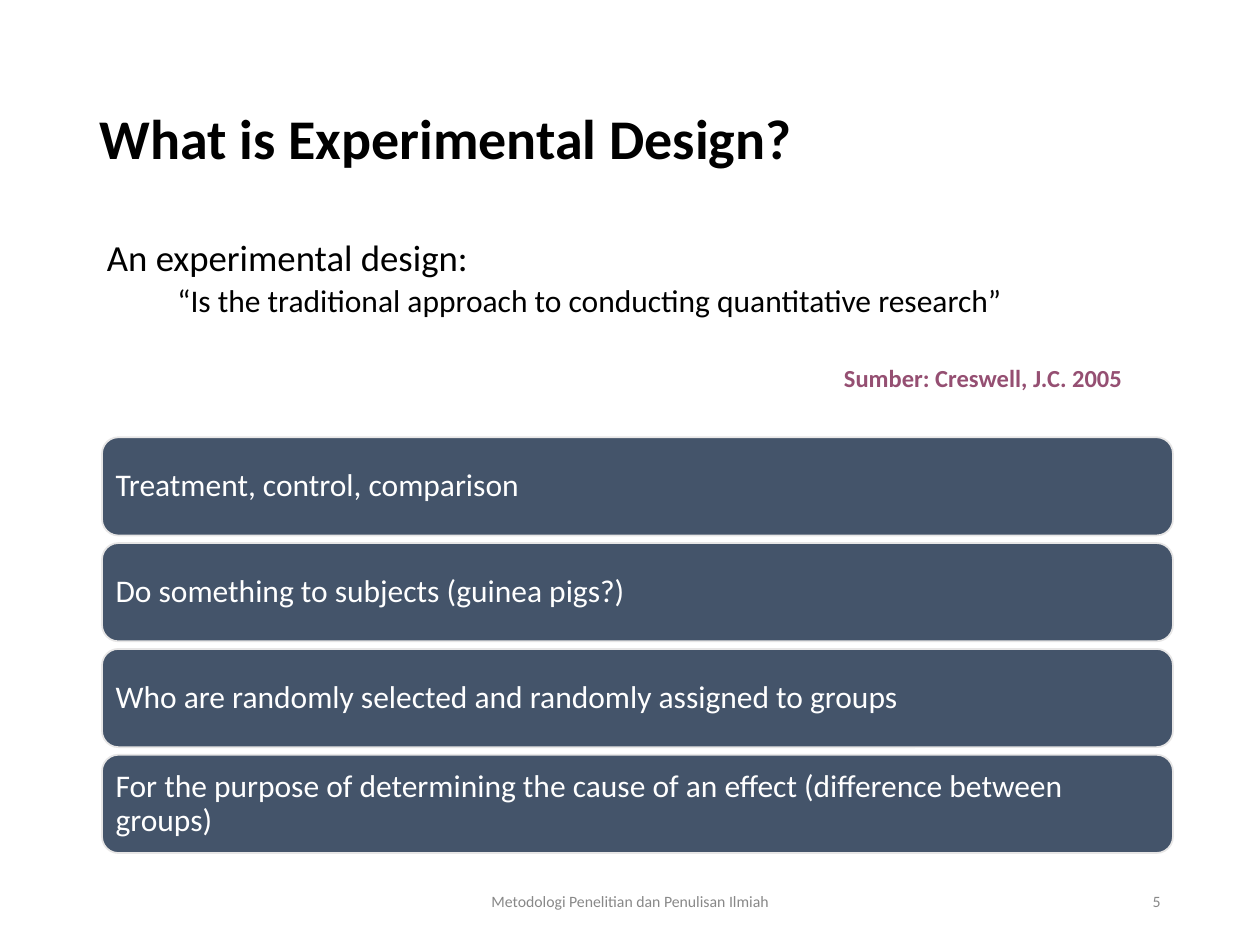
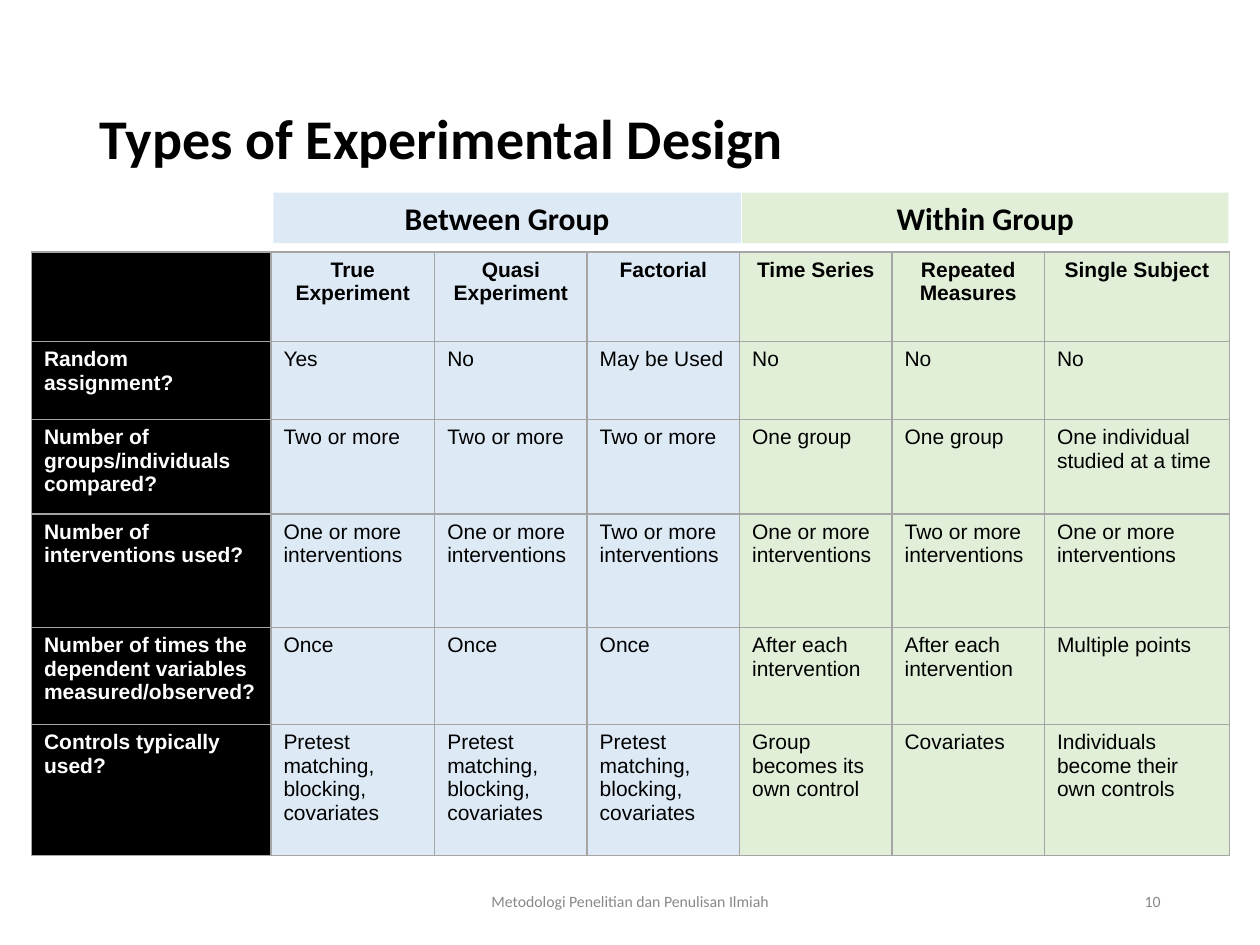
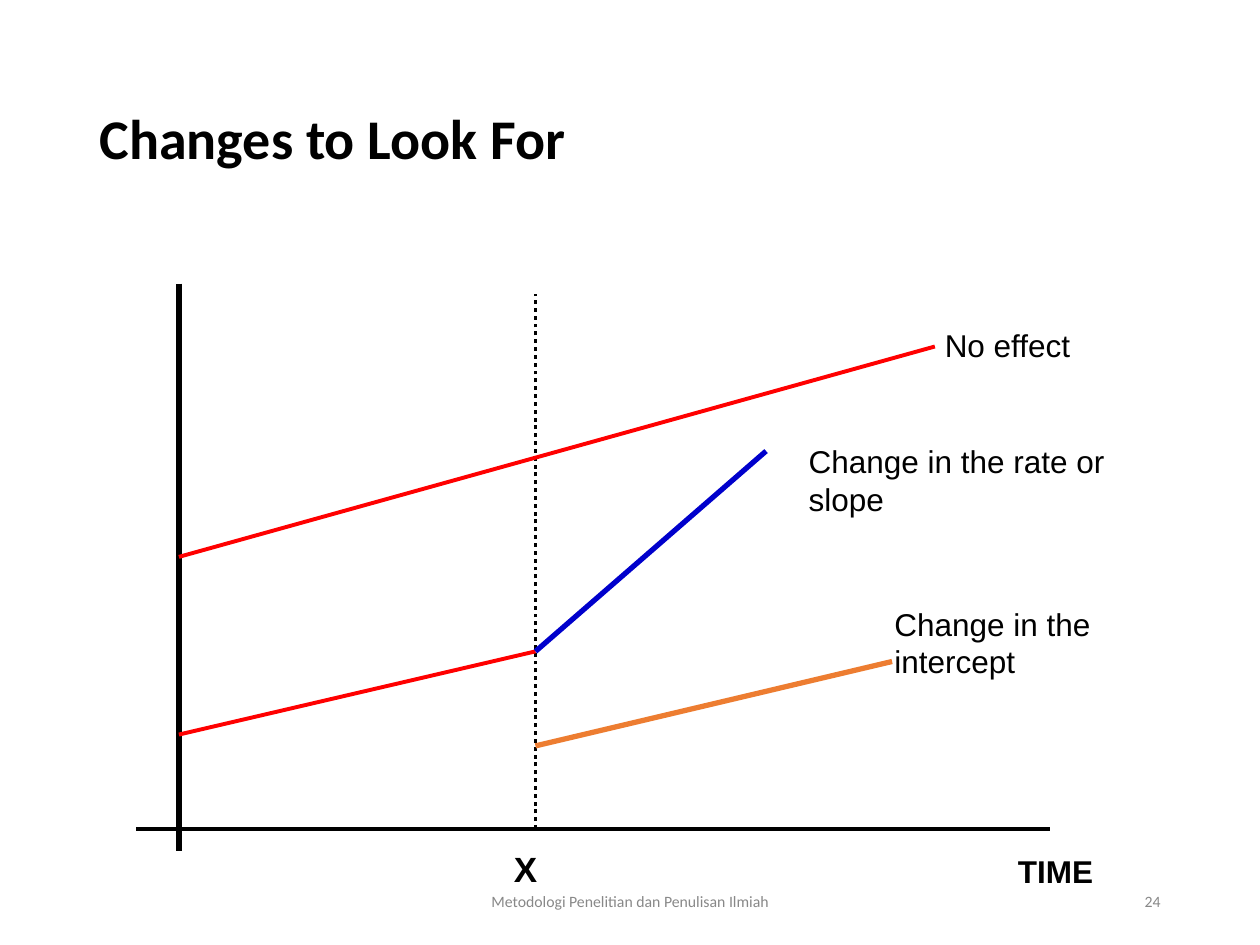
from lxml.etree import SubElement
from pptx import Presentation
from pptx.dml.color import RGBColor
from pptx.enum.dml import MSO_LINE
from pptx.enum.shapes import MSO_CONNECTOR, MSO_SHAPE
from pptx.enum.text import MSO_ANCHOR, PP_ALIGN
from pptx.oxml.ns import qn
from pptx.util import Inches, Pt

COLORS = {
    "black": "000000", "white": "FFFFFF", "grey": "888888", "plum": "954F72",
    "slate": "44546A", "pale": "E7E6E6", "border": "A5A5A5",
    "between": "DDEAF6", "within": "E1EFD8",
    "red": "FF0000", "blue": "0000CC", "orange": "ED7D31",
}
FOOTER = "Metodologi Penelitian dan Penulisan Ilmiah"


def rgb(name):
    return RGBColor.from_string(COLORS[name])


def write(tf, text, size=18, color="black", font="Calibri", bold=False,
          align=PP_ALIGN.LEFT, anchor=MSO_ANCHOR.TOP, spacing=None,
          before=0, indent=0, inset=None, add=False):
    """Put one formatted paragraph in a text frame, or add it to those there."""
    tf.word_wrap = True
    tf.vertical_anchor = anchor
    if inset is not None:
        tf.margin_left = tf.margin_right = Inches(inset)
        tf.margin_top = tf.margin_bottom = Inches(inset)
    p = tf.add_paragraph() if add else tf.paragraphs[0]
    p.alignment = align
    p.space_before = Pt(before)
    if spacing:
        p.line_spacing = spacing
    if indent:
        pPr = p._p.get_or_add_pPr()
        pPr.set("marL", str(Inches(indent)))
        pPr.set("indent", "0")
    r = p.add_run()
    r.text = text
    r.font.size = Pt(size)
    r.font.name = font
    r.font.bold = bold
    r.font.color.rgb = rgb(color)


class Deck:
    def __init__(self):
        self.prs = Presentation()
        self.prs.slide_width = Inches(10)
        self.prs.slide_height = Inches(7.5)
        self.s = None

    def slide(self, title, number):
        self.s = self.prs.slides.add_slide(self.prs.slide_layouts[5])
        sp = self.s.shapes.title
        sp.left, sp.top = Inches(0.69), Inches(0.4)
        sp.width, sp.height = Inches(8.62), Inches(1.45)
        write(sp.text_frame, title, size=32, bold=True, spacing=0.9,
              anchor=MSO_ANCHOR.MIDDLE)
        small = {"size": 9, "color": "grey", "anchor": MSO_ANCHOR.MIDDLE}
        self.text(3.31, 6.95, 3.38, 0.4, FOOTER, align=PP_ALIGN.CENTER, **small)
        self.text(7.06, 6.95, 2.25, 0.4, str(number), align=PP_ALIGN.RIGHT, **small)

    def text(self, x, y, w, h, text, **fmt):
        sp = self.s.shapes.add_textbox(Inches(x), Inches(y), Inches(w), Inches(h))
        write(sp.text_frame, text, **fmt)
        return sp.text_frame

    def box(self, x, y, w, h, text, fill, line=None, shape=MSO_SHAPE.RECTANGLE, **fmt):
        sp = self.s.shapes.add_shape(shape, Inches(x), Inches(y), Inches(w), Inches(h))
        sp.shadow.inherit = False
        sp.fill.solid()
        sp.fill.fore_color.rgb = rgb(fill)
        if line:
            sp.line.color.rgb = rgb(line)
            sp.line.width = Pt(1)
        else:
            sp.line.fill.background()
        write(sp.text_frame, text, **fmt)

    def line(self, start, end, color="black", width=2.25, dash=None):
        points = [Inches(v) for v in (*start, *end)]
        c = self.s.shapes.add_connector(MSO_CONNECTOR.STRAIGHT, *points)
        c.line.color.rgb = rgb(color)
        c.line.width = Pt(width)
        if dash:
            c.line.dash_style = dash
        SubElement(c._element.spPr, qn("a:effectLst"))

    def table(self, x, y, widths, heights, rows, cell_style):
        """cell_style(row, column) gives the fill name and the text format."""
        frame = self.s.shapes.add_table(len(rows), len(widths), Inches(x), Inches(y),
                                        Inches(sum(widths)), Inches(sum(heights)))
        table = frame.table
        table.first_row = table.horz_banding = False
        for column, width in zip(table.columns, widths):
            column.width = Inches(width)
        for i, (row, height) in enumerate(zip(rows, heights)):
            table.rows[i].height = Inches(height)
            for j, text in enumerate(row):
                cell = table.cell(i, j)
                fill, fmt = cell_style(i, j)
                self.border(cell)
                cell.fill.solid()
                cell.fill.fore_color.rgb = rgb(fill)
                if text:
                    write(cell.text_frame, text, size=12, font="Arial", **fmt)

    def border(self, cell):
        tcPr = cell._tc.get_or_add_tcPr()
        for side in ("a:lnL", "a:lnR", "a:lnT", "a:lnB"):
            ln = SubElement(tcPr, qn(side), w=str(Pt(1)))
            fill = SubElement(ln, qn("a:solidFill"))
            SubElement(fill, qn("a:srgbClr"), val=COLORS["border"])


def definition_slide(deck):
    deck.slide("What is Experimental Design?", 5)
    tf = deck.text(0.75, 1.85, 8.62, 1.75, "An experimental design:",
                   size=21, spacing=0.9)
    write(tf, "“Is the traditional approach to conducting quantitative research”",
          spacing=0.9, before=3.8, indent=0.56, add=True)
    deck.text(6.6, 2.83, 3.17, 0.33, "Sumber: Creswell, J.C. 2005",
              size=14, color="plum", bold=True)
    features = [
        "Treatment, control, comparison",
        "Do something to subjects (guinea pigs?)",
        "Who are randomly selected and randomly assigned to groups",
        "For the purpose of determining the cause of an effect (difference between groups)",
    ]
    for i, feature in enumerate(features):
        deck.box(0.81, 3.47 + 0.84 * i, 8.5, 0.78, feature, "slate", line="pale",
                 shape=MSO_SHAPE.ROUNDED_RECTANGLE, color="white", spacing=0.9,
                 anchor=MSO_ANCHOR.MIDDLE, inset=0.07)


def design_cell_style(row, column):
    if column == 0:
        return "black", {"color": "white", "bold": True}
    fill = "between" if column <= 3 else "within"
    if row == 0:
        return fill, {"bold": True, "align": PP_ALIGN.CENTER}
    return fill, {}


def types_slide(deck):
    deck.slide("Types of Experimental Design", 10)
    one, two = "One or more interventions", "Two or more interventions"
    rows = [
        ["", "True Experiment", "Quasi Experiment", "Factorial",
         "Time Series", "Repeated Measures", "Single Subject"],
        ["Random assignment?", "Yes", "No", "May be Used", "No", "No", "No"],
        ["Number of groups/individuals compared?", *["Two or more"] * 3,
         *["One group"] * 2, "One individual studied at a time"],
        ["Number of interventions used?", one, one, two, one, two, one],
        ["Number of times the dependent variables measured/observed?",
         *["Once"] * 3, *["After each intervention"] * 2, "Multiple points"],
        ["Controls typically used?", *["Pretest matching, blocking, covariates"] * 3,
         "Group becomes its own control", "Covariates",
         "Individuals become their own controls"],
    ]
    deck.table(0.25, 2, [1.9, 1.3, 1.21, 1.21, 1.21, 1.21, 1.47],
               [0.71, 0.62, 0.75, 0.9, 0.77, 1.04], rows, design_cell_style)
    for x, width, label, fill in [(5.89, 3.86, "Within Group", "within"),
                                  (2.17, 3.71, "Between Group", "between")]:
        deck.box(x, 1.53, width, 0.4, label, fill, bold=True, align=PP_ALIGN.CENTER)


def changes_slide(deck):
    deck.slide("Changes to Look For", 24)
    axis_x, axis_y, treatment_x = 1.42, 6.58, 4.25
    deck.line((axis_x, 2.25), (axis_x, 6.75), width=3)
    deck.line((1.08, axis_y), (8.33, axis_y))
    deck.line((treatment_x, axis_y), (treatment_x, 2.33), dash=MSO_LINE.ROUND_DOT)
    deck.line((axis_x, 4.42), (7.42, 2.75), "red")
    deck.line((axis_x, 5.83), (treatment_x, 5.17), "red")
    deck.line((treatment_x, 5.17), (6.08, 3.58), "blue", 3)
    deck.line((treatment_x, 5.92), (7.08, 5.25), "orange", 3)
    deck.text(7.98, 6.71, 0.8, 0.4, "TIME", font="Arial", bold=True)
    deck.text(3.98, 6.68, 0.39, 0.43, "X", size=20, font="Arial", bold=True)
    for x, y, width, label in [(7.4, 2.54, 1.27, "No effect"),
                               (6.32, 3.46, 3.15, "Change in the rate or slope"),
                               (7, 4.75, 2.7, "Change in the intercept")]:
        deck.text(x, y, width, 0.4, label, font="Arial")


def main():
    deck = Deck()
    definition_slide(deck)
    types_slide(deck)
    changes_slide(deck)
    deck.prs.save("out.pptx")


if __name__ == "__main__":
    main()
